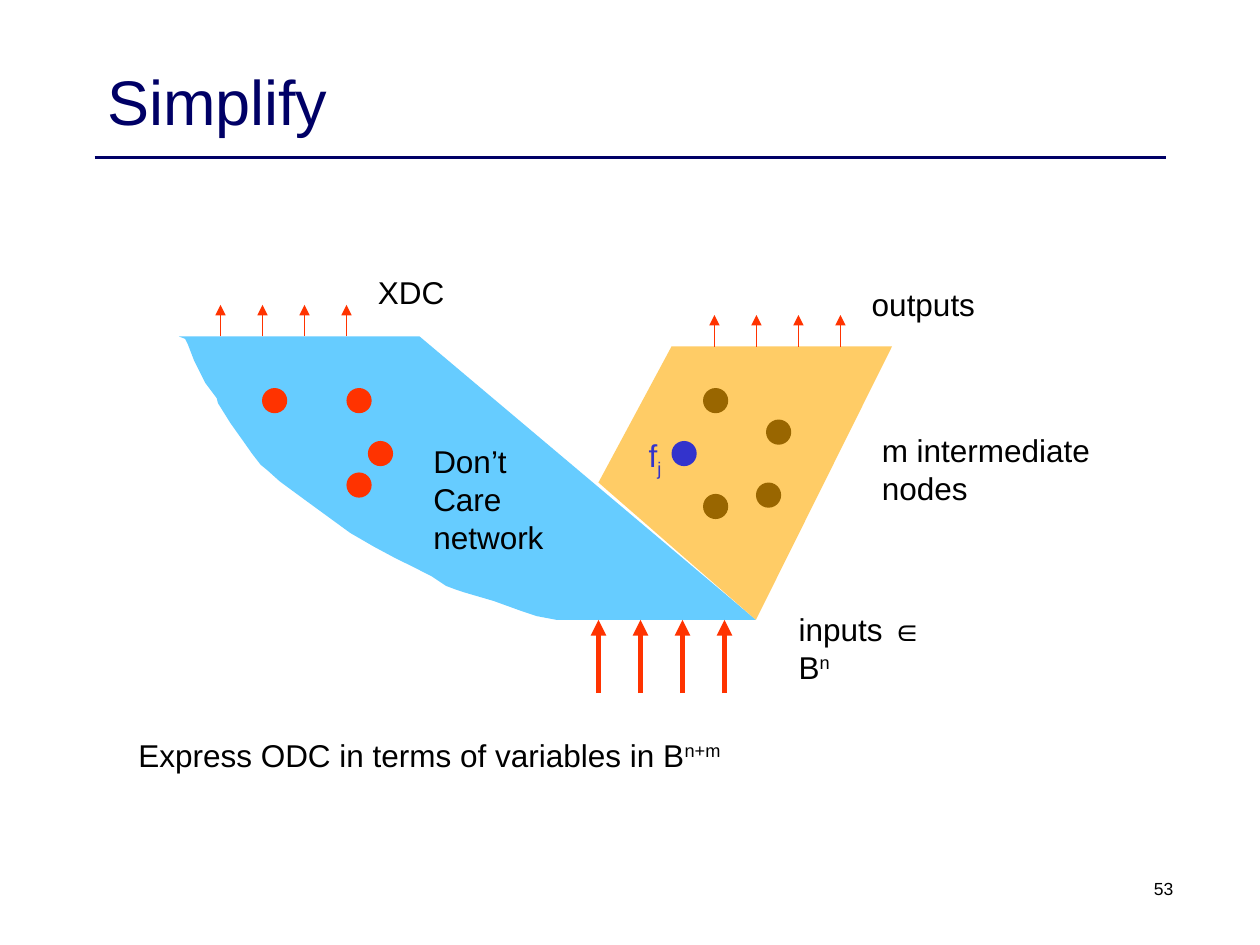
from lxml import etree
from pptx import Presentation
from pptx.dml.color import RGBColor
from pptx.enum.shapes import MSO_CONNECTOR, MSO_SHAPE
from pptx.enum.text import MSO_ANCHOR, PP_ALIGN
from pptx.oxml.ns import qn
from pptx.util import Inches, Pt

STRAIGHT = MSO_CONNECTOR.STRAIGHT
OVAL = MSO_SHAPE.OVAL
MIDDLE = MSO_ANCHOR.MIDDLE
LEFT, RIGHT = PP_ALIGN.LEFT, PP_ALIGN.RIGHT

NAVY, RED, BLUE, BROWN = "000066", "FF3300", "3333CC", "996600"
SKY, AMBER, BLACK = "66CCFF", "FFCC66", "000000"


def color(hex_value):
    return RGBColor.from_string(hex_value)


def add_line(x1, y1, x2, y2, hex_value, width):
    line = slide.shapes.add_connector(
        STRAIGHT, Inches(x1), Inches(y1), Inches(x2), Inches(y2))
    line.line.color.rgb = color(hex_value)
    line.line.width = Pt(width)
    etree.SubElement(line._element.spPr, qn("a:effectLst"))
    return line


prs = Presentation()
prs.slide_width, prs.slide_height = Inches(10), Inches(7.5)
slide = prs.slides.add_slide(prs.slide_layouts[5])

# Title and rule
add_line(0.75, 1.25, 9.25, 1.25, NAVY, 2.25)
title = slide.shapes.title
title.left, title.top = Inches(0.75), Inches(0.17)
title.width, title.height = Inches(8.5), Inches(1.25)
title.text_frame.text = "Simplify"
title.text_frame.vertical_anchor = MIDDLE
heading = title.text_frame.paragraphs[0]
heading.alignment = LEFT
heading.runs[0].font.name = "Arial"
heading.runs[0].font.size = Pt(36)
heading.runs[0].font.color.rgb = color(NAVY)

# Don't care network with its ragged edge, and the intermediate network
dont_care = [
    (1.42, 2.67), (3.33, 2.67), (6, 4.92), (4.42, 4.92), (4.26, 4.89),
    (4.14, 4.85), (3.92, 4.77), (3.68, 4.7), (3.62, 4.68), (3.54, 4.65),
    (3.42, 4.57), (3.28, 4.5), (3.12, 4.42), (2.97, 4.34), (2.78, 4.23),
    (2.41, 3.96), (2.22, 3.82), (2.12, 3.73), (2.07, 3.69), (2, 3.6),
    (1.93, 3.5), (1.83, 3.36), (1.73, 3.2), (1.72, 3.16), (1.66, 3.08),
    (1.63, 3.04), (1.54, 2.86), (1.49, 2.73), (1.47, 2.69)]
intermediate = [(4.75, 3.83), (5.33, 2.75), (7.08, 2.75), (6, 4.92)]
for outline, fill in ((dont_care, SKY), (intermediate, AMBER)):
    points = [(Inches(x), Inches(y)) for x, y in outline]
    builder = slide.shapes.build_freeform(*points[0], scale=1.0)
    builder.add_line_segments(points[1:], close=True)
    network = builder.convert_to_shape()
    network.shadow.inherit = False
    network.fill.solid()
    network.fill.fore_color.rgb = color(fill)
    network.line.fill.background()

# Nodes
nodes = {
    RED: [(2.08, 3.08), (2.75, 3.08), (2.92, 3.5), (2.75, 3.75)],
    BLUE: [(5.33, 3.5)],
    BROWN: [(5.58, 3.08), (6.08, 3.33), (6, 3.83), (5.58, 3.92)],
}
for fill, corners in nodes.items():
    for x, y in corners:
        node = slide.shapes.add_shape(
            OVAL, Inches(x), Inches(y), Inches(0.2), Inches(0.2))
        node.shadow.inherit = False
        node.fill.solid()
        node.fill.fore_color.rgb = color(fill)
        node.line.fill.background()

# Rows of four arrows: first x, start y, end y, width
arrow_rows = [(1.75, 2.67, 2.42, 0.75), (5.67, 2.75, 2.5, 0.75),
              (4.75, 5.5, 4.92, 3)]
for first_x, start_y, end_y, width in arrow_rows:
    for i in range(4):
        x = first_x + i / 3
        arrow = add_line(x, start_y, x, end_y, RED, width)
        etree.SubElement(arrow.line._get_or_add_ln(), qn("a:tailEnd"),
                         type="triangle")

# Labels: box, text, script, baseline, colour, size, alignment
labels = [
    ((6.24, 4.79, 1.35, 0.7), "inputs ∈ B", "n", 30, BLACK, 18, LEFT),
    ((5.05, 3.41, 0.4, 0.44), "f", "j", -25, BLUE, 18, LEFT),
    ((2.9, 2.12, 0.85, 0.4), "XDC", "", 0, BLACK, 18, LEFT),
    ((6.82, 2.21, 1.15, 0.4), "outputs", "", 0, BLACK, 18, LEFT),
    ((6.9, 3.37, 2, 0.7), "m intermediate\nnodes", "", 0, BLACK, 18, LEFT),
    ((1, 5.79, 5, 0.4), "Express ODC in terms of variables in B", "n+m",
     30, BLACK, 18, LEFT),
    ((3.34, 3.46, 1.25, 1), "Don’t\nCare\nnetwork", "", 0, BLACK, 18, LEFT),
    ((7.33, 6.92, 2.08, 0.5), "53", "", 0, BLACK, 10, RIGHT),
]
for box, text, script, baseline, ink, size, alignment in labels:
    frame = slide.shapes.add_textbox(*map(Inches, box)).text_frame
    frame.word_wrap = True
    frame.text = text
    if script:
        script_run = frame.paragraphs[-1].add_run()
        script_run.text = script
        script_run.font._element.set("baseline", str(baseline * 1000))
    for paragraph in frame.paragraphs:
        paragraph.alignment = alignment
        for run in paragraph.runs:
            run.font.name = "Arial"
            run.font.size = Pt(size)
            run.font.color.rgb = color(ink)

prs.save("out.pptx")
